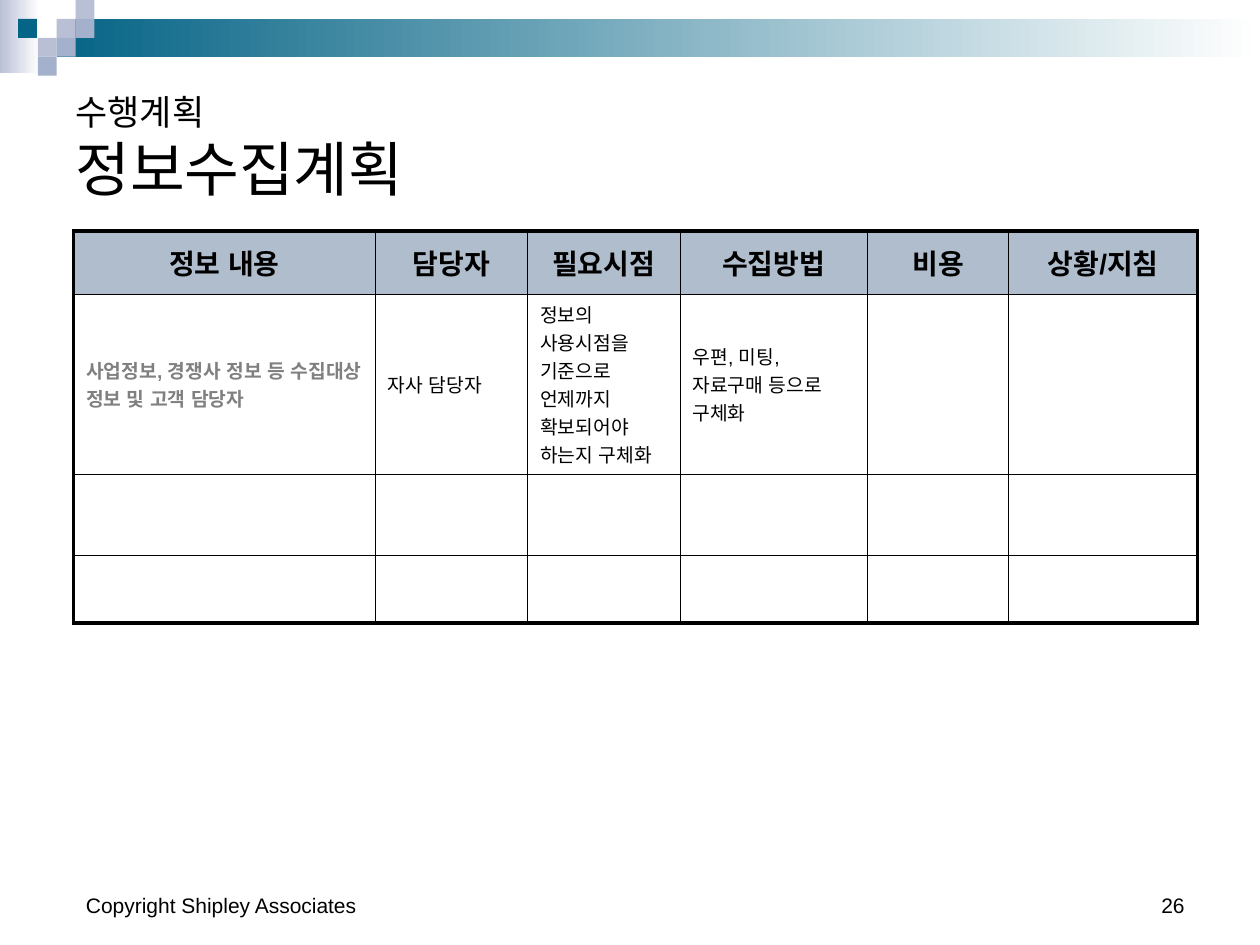
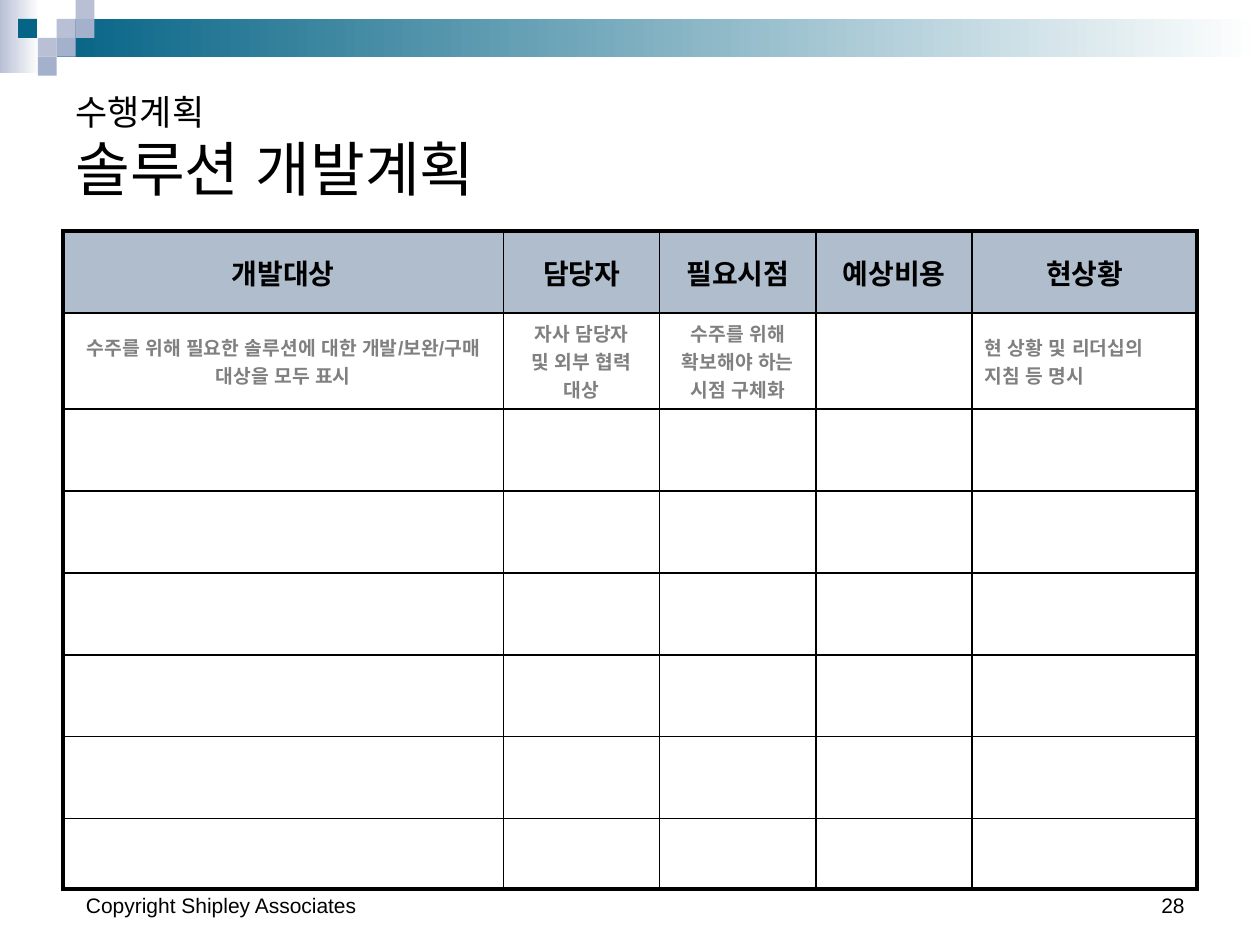
"""Build two planning-table slides that share a header band, title style and footer."""
import pptx
import pptx.dml.color
import pptx.enum.lang
import pptx.enum.shapes
import pptx.enum.text
import pptx.util
from lxml import etree

Pt = pptx.util.Pt
ALIGN = pptx.enum.text.PP_ALIGN
ANCHOR = pptx.enum.text.MSO_ANCHOR
KOREAN = pptx.enum.lang.MSO_LANGUAGE_ID.KOREAN
FONT = "Arial"
BLACK, WHITE, GREY = "000000", "FFFFFF", "808080"
TEAL, LILAC, BLUE, HEADER = "066486", "B9C0D5", "A4B1CC", "B0BDCD"
OUTER = 2.25
GUIDE_END_INSET = 14

SECTION = "수행계획"
FOOTER = "Copyright Shipley Associates"

BANDS = [
    (0, 0, 22.5, 42, LILAC),
    (32.4, 10.8, 687.6, 21.6, TEAL),
]
SQUARE = 10.8
SQUARES = [
    (32.4, 10.8, LILAC),
    (43.2, 0, LILAC),
    (43.2, 10.8, BLUE),
    (21.6, 21.6, LILAC),
    (10.3, 10.8, TEAL),
    (32.4, 21.6, BLUE),
    (21.6, 32.4, BLUE),
]

HINT = dict(color=GREY, bold=True)
HINT_MID = dict(HINT, align=ALIGN.CENTER)
PLANS = [
    dict(
        title="정보수집계획", page="26", left=42, line=0.25,
        cols=[172.5, 87, 87, 107.3, 80.6, 108],
        rows=[36, 103, 46.2, 38.8],
        header=["정보 내용", "담당자", "필요시점", "수집방법", "비용", "상황/지침"],
        guide=[
            ("사업정보, 경쟁사 정보 등 수집대상 정보 및 고객 담당자", HINT),
            ("자사 담당자", {}),
            ("정보의 사용시점을 기준으로 언제까지 확보되어야 하는지 구체화", {}),
            ("우편, 미팅, 자료구매 등으로 구체화", {}),
        ],
    ),
    dict(
        title="솔루션 개발계획", page="28", left=36, line=1,
        cols=[251.7, 89.3, 89.3, 89.3, 128.4],
        rows=[46.8, 55] + [46.8] * 5 + [40.3],
        header=["개발대상", "담당자", "필요시점", "예상비용", "현상황"],
        guide=[
            ("수주를 위해 필요한 솔루션에 대한 개발/보완/구매 대상을 모두 표시", HINT_MID),
            ("자사 담당자\n및 외부 협력 대상", HINT_MID),
            ("수주를 위해 확보해야 하는 시점 구체화", HINT_MID),
            ("", {}),
            ("현 상황 및 리더십의 지침 등 명시", HINT),
        ],
    ),
]


def rgb(value):
    return pptx.dml.color.RGBColor.from_string(value)


def write(tf, text, sizes=(11,), color=BLACK, bold=False, align=ALIGN.LEFT):
    for n, line in enumerate(text.split("\n")):
        p = tf.add_paragraph() if n else tf.paragraphs[0]
        p.alignment = align
        for i, (part, size) in enumerate(zip(line.split("\v"), sizes)):
            if i:
                p.add_line_break()
            r = p.add_run()
            r.text = part
            r.font.name, r.font.size, r.font.bold = FONT, Pt(size), bold
            r.font.language_id = KOREAN
            r.font.color.rgb = rgb(color)


def add_text(s, box, text, **fmt):
    tf = s.shapes.add_textbox(*map(Pt, box)).text_frame
    tf.word_wrap = True
    tf.vertical_anchor = ANCHOR.BOTTOM
    write(tf, text, **fmt)


def add_rect(s, x, y, w, h, color, fade=False):
    sp = s.shapes.add_shape(pptx.enum.shapes.MSO_SHAPE.RECTANGLE, Pt(x), Pt(y), Pt(w), Pt(h))
    sp.shadow.inherit = False
    sp.line.fill.background()
    if fade:
        sp.fill.gradient()
        sp.fill.gradient_angle = 0
        for stop, position, end in zip(sp.fill.gradient_stops, (0, 1), (color, WHITE)):
            stop.position = position
            stop.color.rgb = rgb(end)
    else:
        sp.fill.solid()
        sp.fill.fore_color.rgb = rgb(color)


def set_border(cell, side, width):
    ns = pptx.oxml.ns.qn
    ln = etree.SubElement(cell._tc.get_or_add_tcPr(), ns(f"a:ln{side}"), w=str(Pt(width)))
    fill = etree.SubElement(ln, ns("a:solidFill"))
    etree.SubElement(fill, ns("a:srgbClr"), val=BLACK)


def add_plan_table(s, plan):
    cols, rows = plan["cols"], plan["rows"]
    frame = s.shapes.add_table(len(rows), len(cols), Pt(plan["left"]), Pt(132),
                               Pt(sum(cols)), Pt(sum(rows)))
    table = frame.table
    table.first_row = table.horz_banding = False
    for col, width in zip(table.columns, cols):
        col.width = Pt(width)
    for row, height in zip(table.rows, rows):
        row.height = Pt(height)
    for r in range(len(rows)):
        for c in range(len(cols)):
            cell = table.cell(r, c)
            cell.vertical_anchor = ANCHOR.MIDDLE
            edges = dict(L=c == 0, R=c == len(cols) - 1, T=r == 0, B=r == len(rows) - 1)
            for side, outer in edges.items():
                set_border(cell, side, OUTER if outer else plan["line"])
            cell.fill.solid()
            cell.fill.fore_color.rgb = rgb(WHITE if r else HEADER)
    for c, text in enumerate(plan["header"]):
        write(table.cell(0, c).text_frame, text, sizes=(16,), bold=True, align=ALIGN.CENTER)
    for c, (text, fmt) in enumerate(plan["guide"]):
        if text:
            write(table.cell(1, c).text_frame, text, **fmt)
    table.cell(1, len(cols) - 1).margin_right = Pt(GUIDE_END_INSET)


def add_plan_slide(prs, plan):
    s = prs.slides.add_slide(prs.slide_layouts[6])
    for band in BANDS:
        add_rect(s, *band, fade=True)
    for x, y, color in SQUARES:
        add_rect(s, x, y, SQUARE, SQUARE, color)
    add_text(s, (516, 492, 168, 36), plan["page"], sizes=(12,), align=ALIGN.RIGHT)
    add_text(s, (42, 492, 228, 36), FOOTER, sizes=(12,))
    add_text(s, (36, 36, 648, 84), f"{SECTION}\v{plan['title']}", sizes=(20, 34))
    add_plan_table(s, plan)


def main():
    prs = pptx.Presentation()
    prs.slide_width, prs.slide_height = Pt(720), Pt(540)
    for plan in PLANS:
        add_plan_slide(prs, plan)
    prs.save("out.pptx")


if __name__ == "__main__":
    main()
